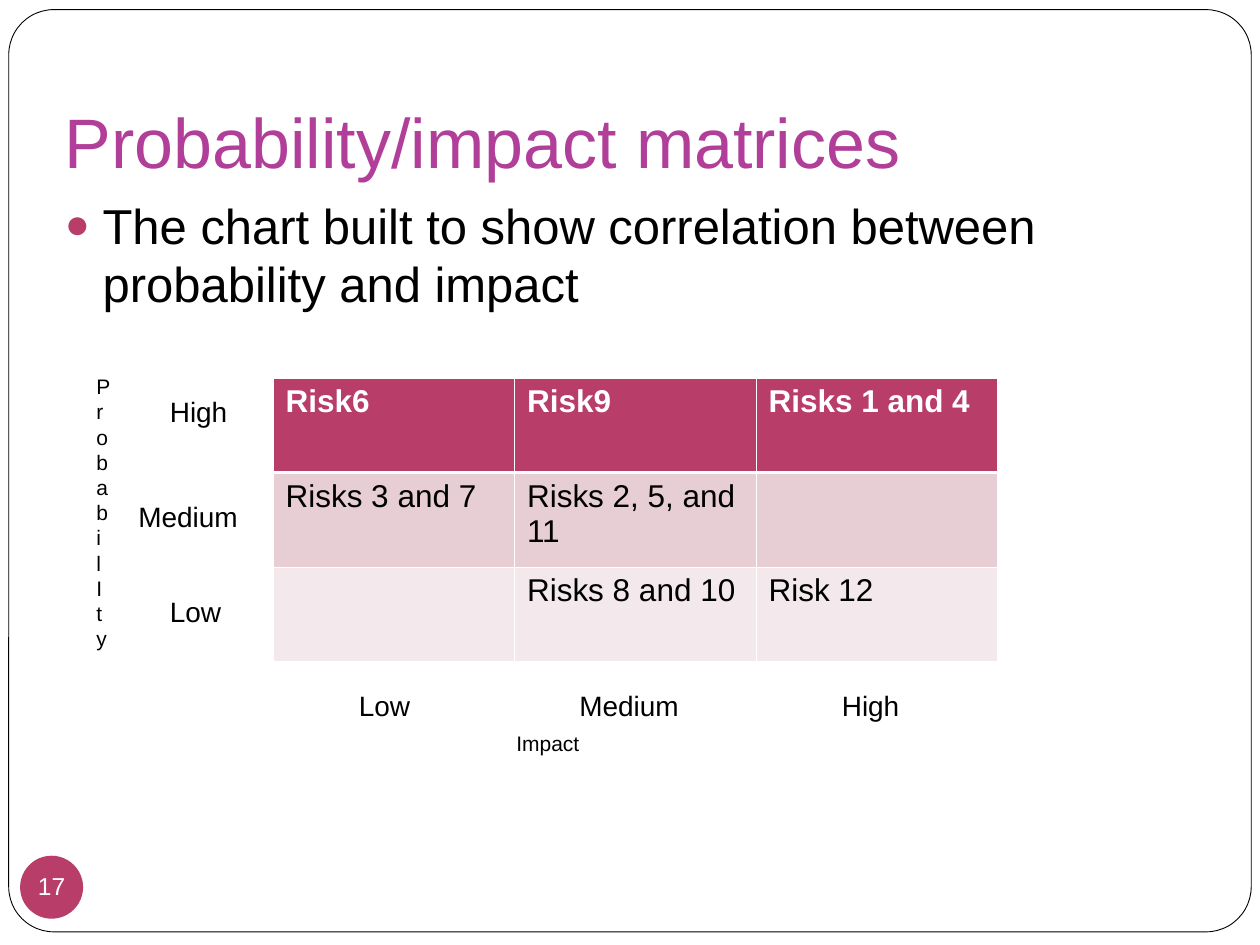
from lxml import etree
from pptx import Presentation
from pptx.dml.color import RGBColor
from pptx.enum.shapes import MSO_SHAPE
from pptx.enum.text import MSO_ANCHOR, MSO_AUTO_SIZE, PP_ALIGN
from pptx.oxml.ns import qn
from pptx.util import Pt

ROUNDED = MSO_SHAPE.ROUNDED_RECTANGLE
OVAL = MSO_SHAPE.OVAL
BOTTOM = MSO_ANCHOR.BOTTOM
MIDDLE = MSO_ANCHOR.MIDDLE
CENTER = PP_ALIGN.CENTER
GROW = MSO_AUTO_SIZE.SHAPE_TO_FIT_TEXT

COLORS = {
    "paper": "FFFFFF",
    "ink": "000000",
    "title": "B13F9A",
    "accent": "B83D68",
    "band_dark": "E6CED4",
    "band_light": "F3E8EB",
}
FONT = "Arial"
RISKS = [
    ["Risk6", "Risk9", "Risks 1 and 4"],
    ["Risks 3 and 7", "Risks 2, 5, and 11", ""],
    ["", "Risks 8 and 10", "Risk 12"],
]
ROW_FILLS = ["accent", "band_dark", "band_light"]
CELL_W, CELL_H = 138, 54
THIN, THICK = 0.45, 1.47
LABEL_WIDTHS = {"High": 48, "Medium": 72, "Low": 45}
LABELS = [
    ("High", 90, 222),
    ("Medium", 72, 282),
    ("Low", 90, 336),
    ("Low", 198, 390),
    ("Medium", 324, 390),
    ("High", 474, 390),
]


def rgb(name):
    return RGBColor.from_string(COLORS[name])


def apply_format(target, values):
    for attribute, value in values.items():
        setattr(target, attribute, value)


def write(frame, lines, size, color="ink", bold=False):
    for index, line in enumerate(lines):
        paragraph = frame.paragraphs[0] if index == 0 else frame.add_paragraph()
        run = paragraph.add_run()
        run.text = line
        apply_format(run.font, {"name": FONT, "size": Pt(size), "bold": bold})
        run.font.color.rgb = rgb(color)


def add_text(slide, box, lines, size, color="ink", **frame_format):
    frame = slide.shapes.add_textbox(*map(Pt, box)).text_frame
    apply_format(frame, {"word_wrap": True, **frame_format})
    write(frame, lines, size, color)
    return frame


def add_label(slide, box, lines, size):
    add_text(slide, box, lines, size, word_wrap=False, auto_size=GROW)


def add_panel(slide, kind, box, fill):
    panel = slide.shapes.add_shape(kind, *map(Pt, box))
    panel.shadow.inherit = False
    panel.fill.solid()
    panel.fill.fore_color.rgb = rgb(fill)
    panel.line.fill.background()
    return panel


def add_frame(slide):
    frame = add_panel(slide, ROUNDED, (5, 5.5, 710, 527), "paper")
    frame.adjustments[0] = 0.049
    frame.line.color.rgb = rgb("ink")
    frame.line.width = Pt(0.5)


def add_page_number(slide, number):
    badge = add_panel(slide, OVAL, (11.5, 489, 36, 36), "accent")
    margins = {f"margin_{side}": 0 for side in ("left", "top", "right", "bottom")}
    apply_format(badge.text_frame, {"word_wrap": False, "vertical_anchor": MIDDLE, **margins})
    write(badge.text_frame, [number], 14, "paper")
    apply_format(badge.text_frame.paragraphs[0],
                 {"alignment": CENTER, "line_spacing": 0.9, "space_before": Pt(3.5)})


def add_bullet(paragraph, character, color, percent, indent):
    properties = paragraph._p.get_or_add_pPr()
    properties.set("marL", str(Pt(indent)))
    properties.set("indent", str(-Pt(indent)))
    bullet_color = etree.SubElement(properties, qn("a:buClr"))
    etree.SubElement(bullet_color, qn("a:srgbClr"), val=COLORS[color])
    etree.SubElement(properties, qn("a:buSzPct"), val=str(percent * 1000))
    etree.SubElement(properties, qn("a:buFont"), typeface=FONT)
    etree.SubElement(properties, qn("a:buChar"), char=character)


def set_borders(cell, widths):
    properties = cell._tc.get_or_add_tcPr()
    for index, (side, width) in enumerate(widths.items()):
        border = etree.Element(qn(f"a:ln{side}"), w=str(Pt(width)))
        fill = etree.SubElement(border, qn("a:solidFill"))
        etree.SubElement(fill, qn("a:srgbClr"), val=COLORS["paper"])
        properties.insert(index, border)


def add_matrix(slide, left, top):
    rows, columns = len(RISKS), len(RISKS[0])
    matrix = slide.shapes.add_table(rows, columns, Pt(left), Pt(top),
                                    Pt(columns * CELL_W), Pt(rows * CELL_H)).table
    for r, risks in enumerate(RISKS):
        header = r == 0
        for c, risk in enumerate(risks):
            cell = matrix.cell(r, c)
            cell.fill.solid()
            cell.fill.fore_color.rgb = rgb(ROW_FILLS[r])
            set_borders(cell, {"L": THIN, "R": THIN,
                               "T": THICK if r == 1 else THIN,
                               "B": THICK if header else THIN})
            if risk:
                write(cell.text_frame, [risk], 18, "paper" if header else "ink", header)


def main():
    deck = Presentation()
    apply_format(deck, {"slide_width": Pt(720), "slide_height": Pt(540)})
    slide = deck.slides.add_slide(deck.slide_layouts[6])

    add_frame(slide)
    add_text(slide, (30, 21.5, 654, 90), ["Probability/impact matrices"], 40, "title",
             vertical_anchor=BOTTOM, margin_bottom=Pt(7.2))
    summary = add_text(slide, (30, 108, 654, 360),
                       ["The chart built to show correlation between probability and impact"], 28)
    summary.paragraphs[0].space_before = Pt(5.8)
    add_bullet(summary.paragraphs[0], "●", "accent", 85, 21.6)
    add_page_number(slide, "17")

    add_matrix(slide, 156, 216)
    add_label(slide, (48, 210, 22.5, 165.5), list("ProbabilIty"), 12)
    add_label(slide, (288, 414, 51, 21.5), ["Impact"], 12)
    for level, left, top in LABELS:
        add_label(slide, (left, top, LABEL_WIDTHS[level], 26.5), [level], 16)

    deck.save("out.pptx")


if __name__ == "__main__":
    main()
